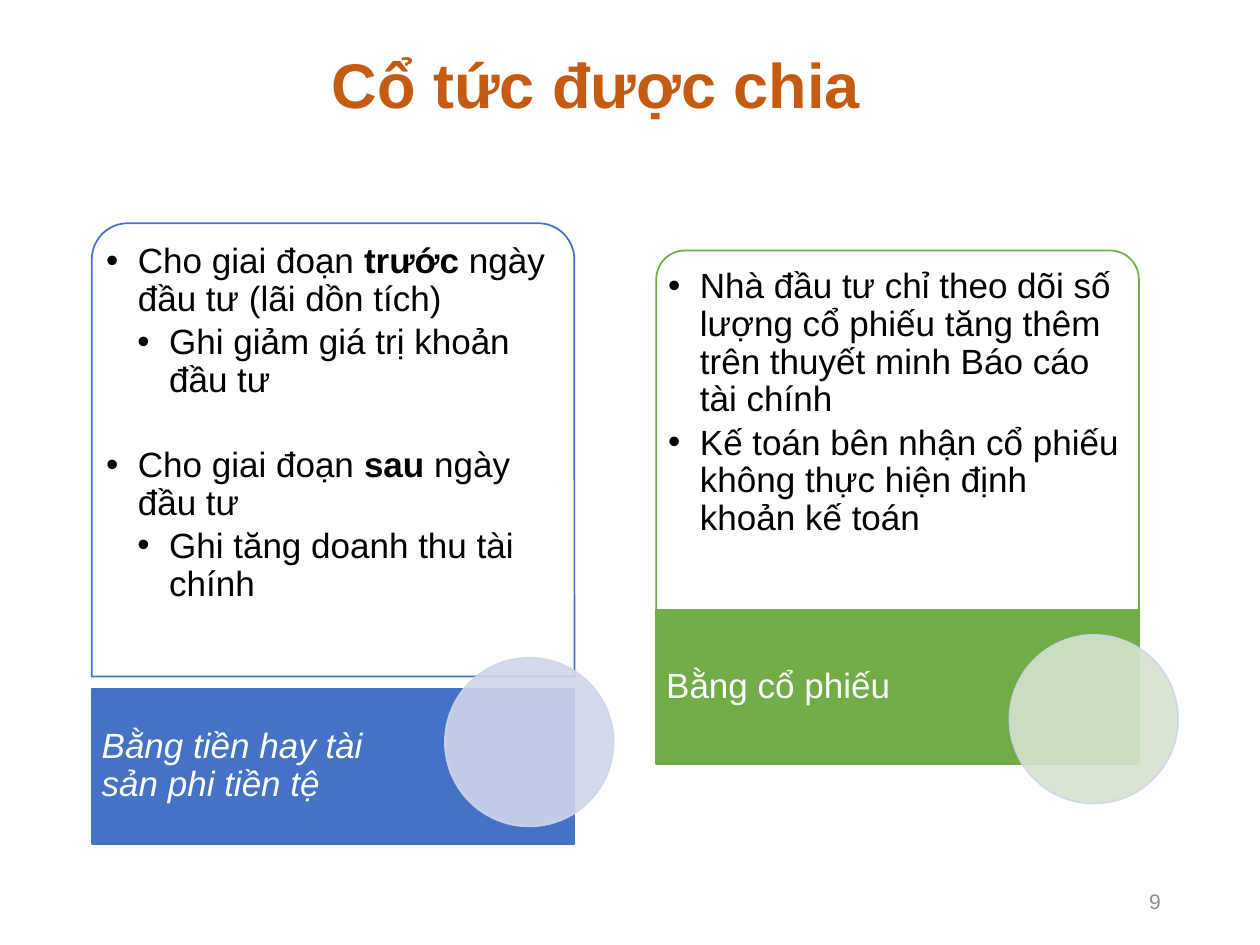
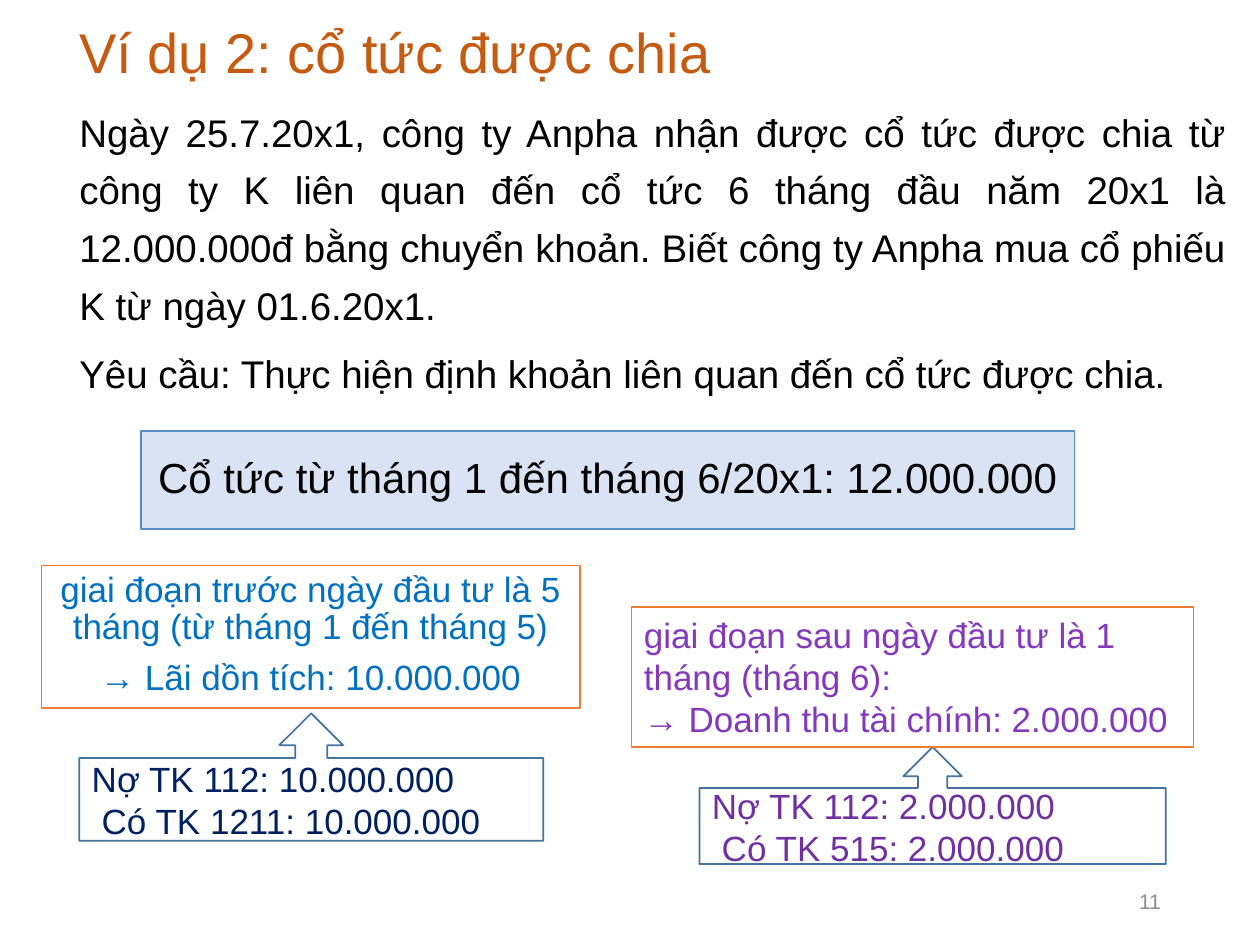
from dataclasses import dataclass
from lxml.etree import SubElement
from pptx import Presentation
from pptx.dml.color import RGBColor
from pptx.enum.shapes import MSO_SHAPE as Shape
from pptx.enum.text import MSO_ANCHOR as Anchor, PP_ALIGN as Align
from pptx.oxml.ns import qn
from pptx.util import Cm, Pt


@dataclass(frozen=True)
class Theme:
    font: str = "Arial"
    title: str = "C55A11"
    ink: str = "000000"
    white: str = "FFFFFF"
    blue: str = "4472C4"
    green: str = "70AD47"
    blue_tint: str = "CFD5EA"
    green_tint: str = "D5E3CF"
    total_fill: str = "DAE3F3"
    total_line: str = "538DC1"
    period_line: str = "ED7D31"
    entry_line: str = "43739E"
    before_text: str = "0070C0"
    after_text: str = "8439BD"
    before_entry: str = "002060"
    after_entry: str = "7030A0"
    page: str = "8C8C8C"
    title_size: int = 36
    example_size: int = 32
    total_size: int = 24
    story_size: int = 22
    body_size: int = 20
    page_size: int = 12


@dataclass
class Line:
    text: str
    indent: float = 0
    bullet: bool = False
    before: float = 0


theme = Theme()


def add_block(slide, box, kind=None, fill=None, line=None, opacity=100, line_opacity=100):
    lengths = [Cm(value) for value in box]
    if kind is None:
        return slide.shapes.add_textbox(*lengths)
    block = slide.shapes.add_shape(kind, *lengths)
    block.shadow.inherit = False
    if fill:
        block.fill.solid()
        block.fill.fore_color.rgb = RGBColor.from_string(fill)
    else:
        block.fill.background()
    block.line.color.rgb = RGBColor.from_string(line)
    block.line.width = Pt(1)
    colors = block.element.spPr.iter(qn("a:srgbClr"))
    levels = [opacity, line_opacity] if fill else [line_opacity]
    for color, level in zip(colors, levels):
        if level < 100:
            SubElement(color, qn("a:alpha")).set("val", str(level * 1000))
    return block


def write(block, lines, size, color, bold=False, italic=False, align=Align.LEFT,
          spacing=1.0, after=0, anchor=Anchor.TOP, insets=(0.25, 0.13, 0.25, 0.13)):
    frame = block.text_frame
    frame.word_wrap = True
    frame.vertical_anchor = anchor
    (frame.margin_left, frame.margin_top,
     frame.margin_right, frame.margin_bottom) = [Cm(inset) for inset in insets]
    for index, line in enumerate(lines):
        paragraph = frame.paragraphs[0] if index == 0 else frame.add_paragraph()
        paragraph.alignment = align
        paragraph.line_spacing = spacing
        paragraph.space_before = Pt(line.before)
        paragraph.space_after = Pt(after)
        properties = paragraph._p.get_or_add_pPr()
        properties.set("marL", str(Cm(line.indent)))
        if line.bullet:
            properties.set("indent", str(Cm(-0.64)))
            SubElement(properties, qn("a:buFont")).set("typeface", theme.font)
            SubElement(properties, qn("a:buChar")).set("char", "•")
        font = paragraph.font
        font.name, font.size, font.bold, font.italic = theme.font, Pt(size), bold, italic
        font.color.rgb = RGBColor.from_string(color)
        for part, text in enumerate(line.text.split("*")):
            run = paragraph.add_run()
            run.text = text
            if part % 2:
                run.font.bold = True


deck = Presentation()
deck.slide_width, deck.slide_height = Cm(25.4), Cm(19.05)
blank = deck.slide_layouts[6]
dividends, example = [deck.slides.add_slide(blank) for _ in range(2)]

for slide, number, title, box, size, bold, align in [
    (dividends, "9", "Cổ tức được chia", (1.07, 0.86, 21.89, 1.73),
     theme.title_size, True, Align.CENTER),
    (example, "11", "Ví dụ 2: cổ tức được chia", (1.35, 0.3, 22.33, 1.55),
     theme.example_size, False, Align.LEFT),
]:
    write(add_block(slide, box), [Line(title)], size, theme.title, bold=bold,
          align=align, spacing=0.9, anchor=Anchor.BOTTOM)
    write(add_block(slide, (17.93, 17.65, 5.72, 1.02)), [Line(number)], theme.page_size,
          theme.page, align=Align.RIGHT, anchor=Anchor.MIDDLE)

card_width, band_height, label_width, circle_size = 9.73, 3.12, 6.86, 3.4
cash_rules = [
    Line("Cho giai đoạn *trước* ngày đầu tư (lãi dồn tích)", 0.64, True),
    Line("Ghi giảm giá trị khoản đầu tư", 1.27, True),
    Line("Cho giai đoạn *sau *ngày đầu tư", 0.64, True, before=24),
    Line("Ghi tăng doanh thu tài chính", 1.27, True),
]
share_rules = [
    Line("Nhà đầu tư chỉ theo dõi số lượng cổ phiếu tăng thêm trên thuyết minh "
         "Báo cáo tài chính", 0.64, True),
    Line("Kế toán bên nhận cổ phiếu không thực hiện định khoản kế toán", 0.64, True),
]
for left, top, height, pad, band_top, circle_top, color, tint, rules, label, italic in [
    (1.85, 4.5, 9.14, 0.21, 13.89, 13.26, theme.blue, theme.blue_tint,
     cash_rules, "Bằng tiền hay tài sản phi tiền tệ", True),
    (13.23, 5.05, 7.26, 0.16, 12.29, 12.8, theme.green, theme.green_tint,
     share_rules, "Bằng cổ phiếu", False),
]:
    panel = add_block(dividends, (left, top, card_width, height),
                      Shape.ROUND_2_SAME_RECTANGLE, theme.white, color, opacity=90)
    panel.adjustments[0], panel.adjustments[1] = 0.08, 0
    rules_box = (left + pad, top + pad, card_width - 2 * pad, height - pad)
    write(add_block(dividends, rules_box), rules, theme.body_size, theme.ink,
          spacing=0.9, after=3, insets=(0.08, 0.2, 0.08, 0.08))
    add_block(dividends, (left, band_top, card_width, band_height),
              Shape.RECTANGLE, color, color)
    write(add_block(dividends, (left, band_top, label_width, band_height)), [Line(label)],
          theme.body_size, theme.white, italic=italic, spacing=0.9, after=7,
          anchor=Anchor.MIDDLE, insets=(0.2, 0, 0.08, 0))
    add_block(dividends, (left + 7.12, circle_top, circle_size, circle_size),
              Shape.OVAL, tint, theme.blue_tint, opacity=90, line_opacity=90)

story = [
    Line("Ngày 25.7.20x1, công ty Anpha nhận được cổ tức được chia từ công ty K liên quan "
         "đến cổ tức 6 tháng đầu năm 20x1 là 12.000.000đ bằng chuyển khoản. Biết công ty "
         "Anpha mua cổ phiếu K từ ngày 01.6.20x1."),
    Line("Yêu cầu: Thực hiện định khoản liên quan đến cổ tức được chia.", before=6),
]
write(add_block(example, (1.35, 1.83, 23.62, 6.38)), story, theme.story_size, theme.ink,
      align=Align.JUSTIFY, spacing=1.25)

total = add_block(example, (2.84, 8.69, 18.82, 1.98), Shape.RECTANGLE,
                  theme.total_fill, theme.total_line)
write(total, [Line("Cổ tức từ tháng 1 đến tháng 6/20x1: 12.000.000")], theme.total_size,
      theme.ink, align=Align.CENTER, spacing=0.9, after=7, anchor=Anchor.MIDDLE,
      insets=(0.05, 0.05, 0.05, 0.05))

for entry_box, debit, credit, entry_color, period_box, period, result, color, layout in [
    ((1.6, 14.38, 9.35, 2.57), "Nợ TK 112: 10.000.000", "Có TK 1211: 10.000.000",
     theme.before_entry, (0.84, 11.4, 10.85, 2.87),
     "giai đoạn trước ngày đầu tư là 5 tháng (từ tháng 1 đến tháng 5)",
     "→ Lãi dồn tích: 10.000.000", theme.before_text,
     {"align": Align.CENTER, "spacing": 0.9, "after": 7}),
    ((14.1, 15.06, 9.4, 2.36), "Nợ TK 112: 2.000.000", "Có TK 515: 2.000.000",
     theme.after_entry, (12.73, 12.24, 11.33, 2.82),
     "giai đoạn sau ngày đầu tư là 1 tháng (tháng 6):",
     "→ Doanh thu tài chính: 2.000.000", theme.after_text, {}),
]:
    entry = add_block(example, entry_box, Shape.UP_ARROW_CALLOUT, line=theme.entry_line)
    write(entry, [Line(debit), Line(credit, indent=0.2)], theme.body_size, entry_color,
          anchor=Anchor.MIDDLE)
    span = add_block(example, period_box, Shape.RECTANGLE, theme.white, theme.period_line)
    write(span, [Line(period), Line(result)], theme.body_size, color, **layout)

deck.save("out.pptx")
